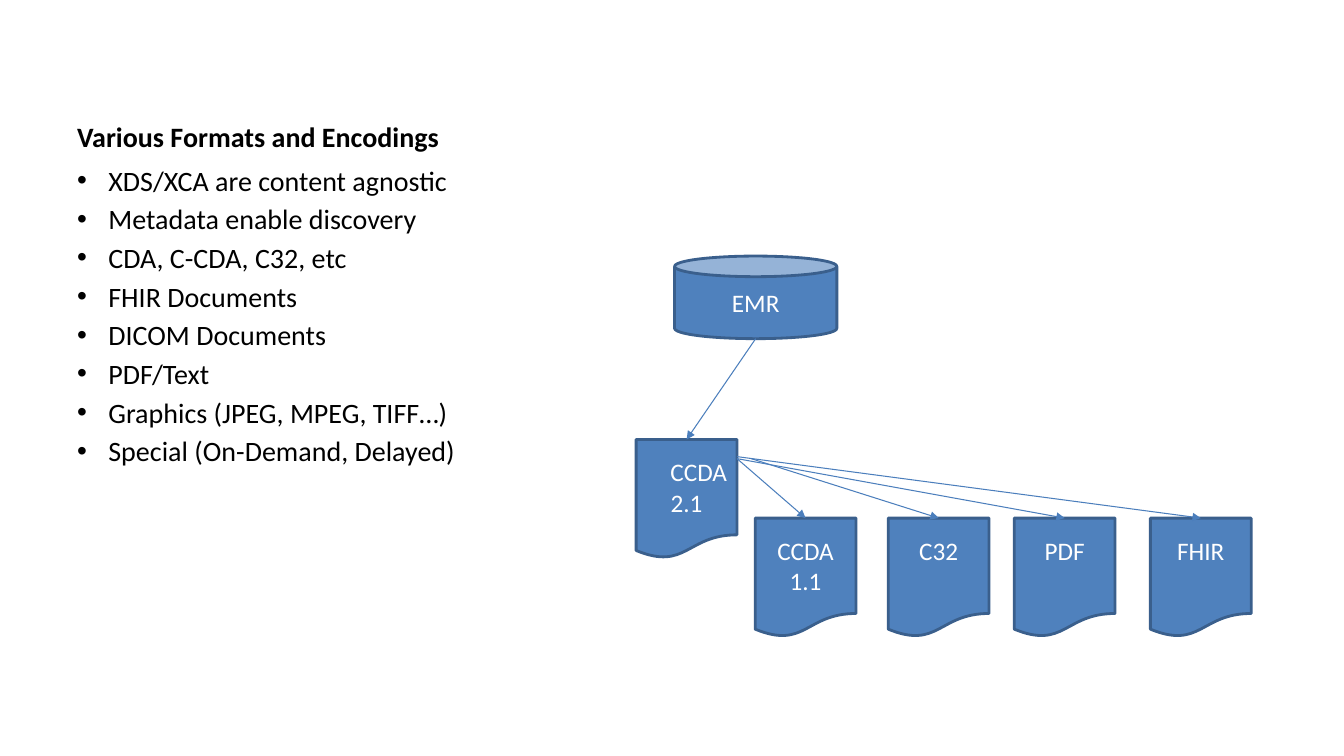
from dataclasses import dataclass
from pptx import Presentation
from pptx.dml.color import RGBColor
from pptx.enum.shapes import MSO_CONNECTOR, MSO_SHAPE
from pptx.enum.text import MSO_ANCHOR as Anchor, PP_ALIGN as Align
from pptx.oxml.ns import qn
from pptx.util import Inches, Pt
from lxml.etree import SubElement

TITLE = "Various Formats and Encodings"
POINTS = [
    "XDS/XCA are content agnostic",
    "Metadata enable discovery",
    "CDA, C-CDA, C32, etc",
    "FHIR Documents",
    "DICOM Documents",
    "PDF/Text",
    "Graphics (JPEG, MPEG, TIFF…)",
    "Special (On-Demand, Delayed)",
]
STORE = "EMR"
SOURCE = ["CCDA", "2.1"]
# lines of text, left edge, start of the arrow that leads here
TARGETS = [
    (["CCDA", "1.1"], 7.49, (7.31, 4.55)),
    (["C32"], 8.81, (7.45, 4.55)),
    (["PDF"], 10.06, (7.31, 4.55)),
    (["FHIR"], 11.41, (7.31, 4.53)),
]

WIDE, HIGH = 13.33, 7.5
LEFT, COL = 0.05 * WIDE, 0.33 * WIDE
TITLE_TOP, BODY_TOP, BODY_END = 0.3, 1.57, 6.7
CAN = (6.69, 2.54, 1.61, 0.82)
DOC_W, DOC_H = 1, 1.18
SOURCE_AT, TARGET_TOP = (6.31, 4.36), 5.14
INDENT = 0.31


@dataclass(frozen=True)
class Theme:
    font: str = "Calibri"
    ink: str = "000000"
    pale: str = "FFFFFF"
    fill: str = "4F81BD"
    edge: str = "3A5F8C"
    arrow: str = "4B7EBC"
    text: int = 20
    label: int = 18


theme = Theme()


def color(code):
    return RGBColor.from_string(code)


def write(frame, lines, size, ink, align, bold=False):
    frame.word_wrap = True
    for i, line in enumerate(lines):
        para = frame.paragraphs[0] if i == 0 else frame.add_paragraph()
        para.text = line
        para.alignment = align
        para.font.name = theme.font
        para.font.size = Pt(size)
        para.font.bold = bold
        para.font.color.rgb = color(ink)


def add_text(slide, top, end, lines, bold=False):
    box = slide.shapes.add_textbox(
        *map(Inches, (LEFT, top, COL, end - top)))
    write(box.text_frame, lines, theme.text, theme.ink, Align.LEFT, bold)
    return box.text_frame


def add_bullets(frame):
    for para in frame.paragraphs:
        para.space_before = Pt(3.6)
        props = para._p.get_or_add_pPr()
        props.set("marL", str(Inches(INDENT)))
        props.set("indent", str(-Inches(INDENT)))
        SubElement(props, qn("a:buFont")).set("typeface", "Arial")
        SubElement(props, qn("a:buChar")).set("char", "•")


def add_node(slide, kind, at, lines):
    node = slide.shapes.add_shape(kind, *map(Inches, at))
    node.shadow.inherit = False
    node.fill.solid()
    node.fill.fore_color.rgb = color(theme.fill)
    node.line.color.rgb = color(theme.edge)
    node.line.width = Pt(2)
    node.text_frame.vertical_anchor = Anchor.MIDDLE
    write(node.text_frame, lines, theme.label, theme.pale, Align.CENTER)
    return node


def add_doc(slide, left, top, lines):
    doc = add_node(slide, MSO_SHAPE.FLOWCHART_DOCUMENT,
                   (left, top, DOC_W, DOC_H), lines)
    doc.text_frame.vertical_anchor = Anchor.TOP
    doc.text_frame.margin_top = Inches(0.17)
    return doc


def add_arrow(slide, start, doc):
    """Draw an arrow from a point to the middle of a document's top."""
    x, y = map(Inches, start)
    arrow = slide.shapes.add_connector(MSO_CONNECTOR.STRAIGHT, x, y, x, y)
    arrow.end_connect(doc, 0)
    arrow.line.color.rgb = color(theme.arrow)
    arrow.line.width = Pt(0.75)
    SubElement(arrow.line._get_or_add_ln(), qn("a:tailEnd")).set(
        "type", "triangle")
    SubElement(arrow._element.spPr, qn("a:effectLst"))


def main():
    deck = Presentation()
    deck.slide_width, deck.slide_height = Inches(WIDE), Inches(HIGH)
    slide = deck.slides.add_slide(deck.slide_layouts[6])

    title = add_text(slide, TITLE_TOP, BODY_TOP, [TITLE], bold=True)
    title.vertical_anchor = Anchor.BOTTOM
    add_bullets(add_text(slide, BODY_TOP, BODY_END, POINTS))

    add_node(slide, MSO_SHAPE.CAN, CAN, [STORE])
    source = add_doc(slide, *SOURCE_AT, SOURCE)
    source.text_frame.paragraphs[0].alignment = Align.RIGHT
    left, top, width, height = CAN
    add_arrow(slide, (left + width / 2, top + height), source)

    for lines, left, start in TARGETS:
        add_arrow(slide, start, add_doc(slide, left, TARGET_TOP, lines))

    deck.save("out.pptx")


if __name__ == "__main__":
    main()
